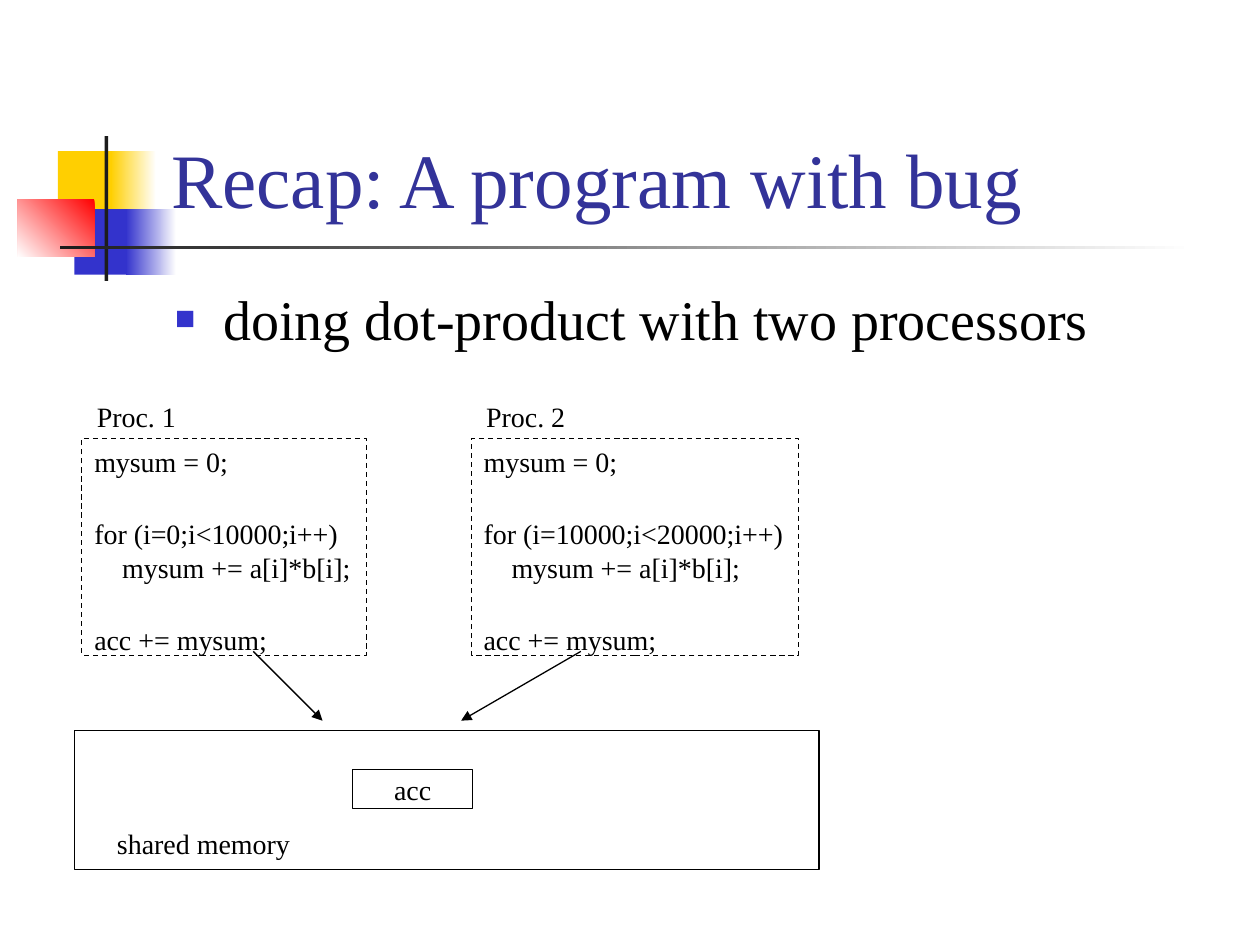
from dataclasses import dataclass

from lxml import etree
from pptx import Presentation
from pptx.dml.color import RGBColor
from pptx.enum.dml import MSO_LINE
from pptx.enum.shapes import MSO_CONNECTOR, MSO_SHAPE
from pptx.enum.text import MSO_ANCHOR, MSO_AUTO_SIZE, PP_ALIGN
from pptx.oxml.ns import qn
from pptx.util import Inches, Pt

RECTANGLE = MSO_SHAPE.RECTANGLE
STRAIGHT = MSO_CONNECTOR.STRAIGHT
DASH = MSO_LINE.DASH
NO_AUTOFIT = MSO_AUTO_SIZE.NONE
TOP, MIDDLE, BOTTOM = MSO_ANCHOR.TOP, MSO_ANCHOR.MIDDLE, MSO_ANCHOR.BOTTOM
LEFT, CENTER = PP_ALIGN.LEFT, PP_ALIGN.CENTER


@dataclass(frozen=True)
class Theme:
    font: str = "Times New Roman"
    title_color: str = "333399"
    text_color: str = "000000"
    yellow: str = "FFCF01"
    blue: str = "3333CC"
    red: str = "FF0000"
    dark: str = "1C1C1C"
    white: str = "FFFFFF"
    title_size: int = 44
    body_size: int = 32
    label_size: int = 16
    line_width: float = 0.75
    code_gap: int = 22


class SlideBuilder:
    def __init__(self, slide, theme):
        self.slide = slide
        self.theme = theme

    def add_text(self, paragraph, text, size, color, align=LEFT, space_before=0):
        paragraph.alignment = align
        paragraph.space_before = Pt(space_before)
        run = paragraph.add_run()
        run.text = text
        run.font.name = self.theme.font
        run.font.size = Pt(size)
        run.font.color.rgb = RGBColor.from_string(color)

    def add_label(self, frame, text, align=LEFT):
        self.add_text(frame.paragraphs[0], text, self.theme.label_size,
                      self.theme.text_color, align)

    def placeholder(self, shape, box, anchor):
        shape.left, shape.top, shape.width, shape.height = map(Inches, box)
        frame = shape.text_frame
        frame.auto_size = NO_AUTOFIT
        frame.vertical_anchor = anchor
        return frame.paragraphs[0]

    def title(self, box, text):
        paragraph = self.placeholder(self.slide.shapes.title, box, BOTTOM)
        self.add_text(paragraph, text, self.theme.title_size, self.theme.title_color)

    def bullet(self, box, text):
        paragraph = self.placeholder(self.slide.placeholders[1], box, TOP)
        properties = paragraph._p.get_or_add_pPr()
        properties.set("marL", str(Inches(0.38)))
        properties.set("indent", str(Inches(-0.38)))
        color = etree.SubElement(properties, qn("a:buClr"))
        etree.SubElement(color, qn("a:srgbClr"), val=self.theme.blue)
        etree.SubElement(properties, qn("a:buSzPct"), val="60000")
        etree.SubElement(properties, qn("a:buFont"), typeface=self.theme.font)
        etree.SubElement(properties, qn("a:buChar"), char="■")
        self.add_text(paragraph, text, self.theme.body_size, self.theme.text_color)

    def rectangle(self, box):
        shape = self.slide.shapes.add_shape(RECTANGLE, *map(Inches, box))
        shape.shadow.inherit = False
        return shape

    def block(self, box, color, fade_to=None, angle=0):
        shape = self.rectangle(box)
        shape.line.fill.background()
        if fade_to is None:
            shape.fill.solid()
            shape.fill.fore_color.rgb = RGBColor.from_string(color)
            return
        shape.fill.gradient()
        shape.fill.gradient_angle = angle
        for stop, value in zip(shape.fill.gradient_stops, (color, fade_to)):
            stop.color.rgb = RGBColor.from_string(value)

    def outline(self, box, dashed=False):
        shape = self.rectangle(box)
        shape.fill.background()
        shape.line.color.rgb = RGBColor.from_string(self.theme.text_color)
        shape.line.width = Pt(self.theme.line_width)
        if dashed:
            shape.line.dash_style = DASH
        return shape

    def text_box(self, box, text):
        frame = self.slide.shapes.add_textbox(*map(Inches, box)).text_frame
        frame.word_wrap = True
        frame.margin_right = 0
        self.add_label(frame, text)

    def centered_box(self, box, text):
        frame = self.outline(box).text_frame
        frame.vertical_anchor = MIDDLE
        self.add_label(frame, text, CENTER)

    def code(self, box, sections):
        frame = self.outline(box, dashed=True).text_frame
        frame.word_wrap = True
        frame.margin_right = 0
        frame.vertical_anchor = TOP
        paragraph = frame.paragraphs[0]
        for section_index, lines in enumerate(sections):
            for line_index, line in enumerate(lines):
                starts_section = section_index > 0 and line_index == 0
                if section_index or line_index:
                    paragraph = frame.add_paragraph()
                self.add_text(paragraph, line, self.theme.label_size, self.theme.text_color,
                              space_before=self.theme.code_gap if starts_section else 0)

    def arrow(self, start, end):
        connector = self.slide.shapes.add_connector(STRAIGHT, *map(Inches, start + end))
        connector.line.color.rgb = RGBColor.from_string(self.theme.text_color)
        connector.line.width = Pt(self.theme.line_width)
        properties = connector._element.spPr
        etree.SubElement(properties.find(qn("a:ln")), qn("a:tailEnd"), type="triangle")
        etree.SubElement(properties, qn("a:effectLst"))


def main():
    presentation = Presentation()
    presentation.slide_width, presentation.slide_height = Inches(10), Inches(7.5)
    slide = presentation.slides.add_slide(presentation.slide_layouts[1])
    theme = Theme()
    builder = SlideBuilder(slide, theme)

    # Corner ornament and title rule
    builder.block((0.46, 1.2, 0.48, 0.52), theme.yellow)
    builder.block((0.88, 1.2, 0.36, 0.52), theme.white, theme.yellow, 180)
    builder.block((0.59, 1.66, 0.46, 0.52), theme.blue)
    builder.block((1, 1.66, 0.4, 0.52), theme.white, theme.blue, 180)
    builder.block((0.14, 1.58, 0.61, 0.46), theme.red, theme.white, 225)
    builder.block((0.83, 1.08, 0.03, 1.15), theme.dark)
    builder.block((0.48, 1.95, 9, 0.03), theme.white, theme.dark, 180)

    # Title and bullet
    builder.title((1.26, 0.23, 8.52, 1.6), "Recap: A program with bug")
    builder.bullet((1.29, 2.21, 8.5, 0.68), "doing dot-product with two processors")

    # Processors, each with its half of the loop
    processors = [
        ("Proc. 1", 0.65, 2.26, "for (i=0;i<10000;i++)"),
        ("Proc. 2", 3.74, 2.6, "for (i=10000;i<20000;i++)"),
    ]
    for name, left, width, loop in processors:
        builder.code((left, 3.48, width, 1.72), [
            ["mysum = 0;"],
            [loop, "    mysum += a[i]*b[i];"],
            ["acc += mysum;"],
        ])
        builder.text_box((left + 0.02, 3.12, 0.83, 0.37), name)

    # Shared memory
    builder.outline((0.59, 5.8, 5.91, 1.1))
    builder.text_box((0.83, 6.51, 1.58, 0.37), "shared memory")
    builder.centered_box((2.8, 6.11, 0.95, 0.31), "acc")

    # Updates from both processors
    builder.arrow((2.01, 5.17), (2.56, 5.72))
    builder.arrow((4.61, 5.17), (3.66, 5.72))

    presentation.save("out.pptx")


if __name__ == "__main__":
    main()
